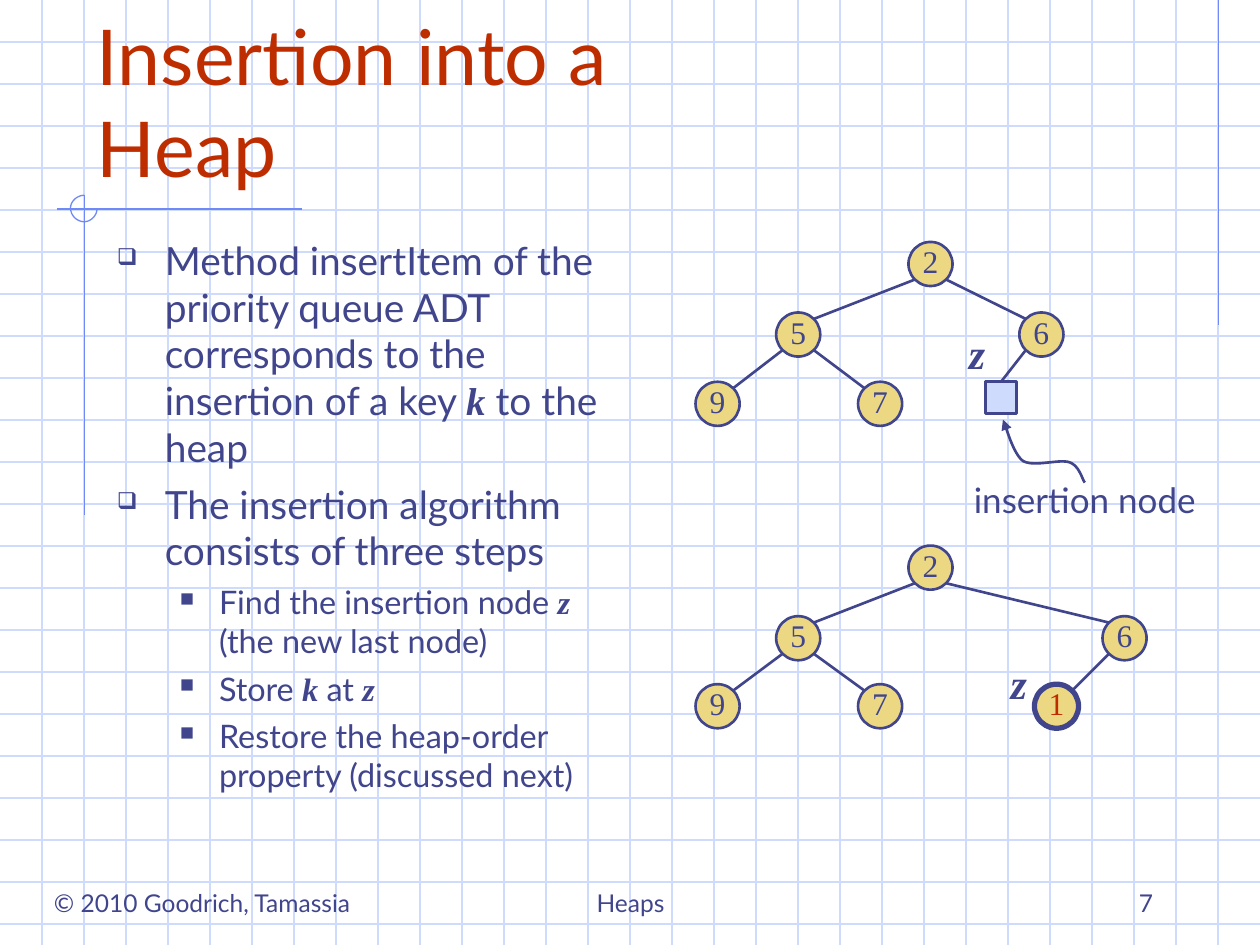
from dataclasses import dataclass
from typing import NamedTuple

from lxml import etree
from pptx import Presentation
from pptx.dml.color import RGBColor
from pptx.enum.shapes import MSO_CONNECTOR, MSO_SHAPE
from pptx.enum.text import MSO_ANCHOR, PP_ALIGN
from pptx.oxml.ns import qn
from pptx.util import Inches, Pt

LEFT, CENTER, RIGHT = PP_ALIGN.LEFT, PP_ALIGN.CENTER, PP_ALIGN.RIGHT
TOP, MIDDLE, BOTTOM = MSO_ANCHOR.TOP, MSO_ANCHOR.MIDDLE, MSO_ANCHOR.BOTTOM
STRAIGHT = MSO_CONNECTOR.STRAIGHT
OVAL, RECTANGLE = MSO_SHAPE.OVAL, MSO_SHAPE.RECTANGLE


@dataclass(frozen=True)
class Theme:
    ink: str = "40458C"
    accent: str = "BE2D00"
    grid: str = "CFDBFD"
    ornament: str = "6F89F7"
    node: str = "ECD882"
    sans: str = "Lato"
    serif: str = "Times New Roman"
    title: float = 44
    body: float = 22.2
    step: float = 18.5
    footer: float = 14
    key: float = 18
    caption: float = 20
    label: float = 24
    hairline: float = 0.75
    stroke: float = 1.5
    heavy: float = 3


class Point(NamedTuple):
    x: float
    y: float


class Box(NamedTuple):
    x: float
    y: float
    w: float
    h: float


class Run(NamedTuple):
    text: str
    variable: bool = False


class Level(NamedTuple):
    size: float
    margin: float
    indent: float
    before: float
    bullet: str


class Node(NamedTuple):
    key: str
    x: float
    y: float
    parent: int = -1
    side: int = 0


T = Theme()
NODE, SQUARE, GRID = 0.35, 0.25, 1 / 3
POINT = Level(T.body, 0.38, -0.38, 6, "❑")
STEP = Level(T.step, 0.81, -0.31, 5, "■")
BULLETS = [
    (POINT, [Run("Method insertItem of the priority queue ADT corresponds to the insertion of a key "),
             Run("k", True), Run(" to the heap")]),
    (POINT, [Run("The insertion algorithm consists of three steps")]),
    (STEP, [Run("Find the insertion node "), Run("z", True), Run(" (the new last node)")]),
    (STEP, [Run("Store "), Run("k", True), Run(" at "), Run("z", True)]),
    (STEP, [Run("Restore the heap-order property (discussed next)")]),
]
BEFORE = [Node("2", 7.21, 1.92), Node("5", 6.16, 2.48, 0, -1), Node("6", 8.09, 2.48, 0, 1),
          Node("9", 5.52, 3.03, 1, -1), Node("7", 6.81, 3.03, 1, 1), Node("", 7.82, 3.03, 2, -1)]
AFTER = [Node("2", 7.21, 4.33), Node("5", 6.16, 4.89, 0, -1), Node("6", 8.75, 4.89, 0, 1),
         Node("9", 5.52, 5.43, 1, -1), Node("7", 6.81, 5.43, 1, 1), Node("1", 8.21, 5.43, 2, -1)]
ARC = [Point(*p) for p in [(0.67, 1.55), (0.61, 1.55), (0.56, 1.6), (0.56, 1.65),
                           (0.56, 1.71), (0.61, 1.76), (0.67, 1.76),
                           (0.72, 1.76), (0.77, 1.71), (0.77, 1.66)]]
POINTER = [Point(*p) for p in [(8.61, 3.83), (8.59, 3.81), (8.57, 3.7), (8.49, 3.67),
                               (8.41, 3.64), (8.21, 3.71), (8.12, 3.66),
                               (8.04, 3.6), (7.99, 3.4), (7.96, 3.33)]]


def rgb(color: str) -> RGBColor:
    return RGBColor.from_string(color)


def stroke(line, color: str, width: float) -> None:
    line.color.rgb = rgb(color)
    line.width = Pt(width)


def add_line(s, start: Point, end: Point, color: str = T.ink, width: float = T.stroke) -> None:
    c = s.shapes.add_connector(STRAIGHT, *(Inches(v) for v in (*start, *end)))
    stroke(c.line, color, width)
    etree.SubElement(c._element.spPr, qn("a:effectLst"))


def add_curve(s, controls: list[Point], color: str, width: float, steps: int = 12):
    pts = []
    for i in range(0, len(controls) - 1, 3):
        a, b, c, d = controls[i:i + 4]
        for t in (k / steps for k in range(1, steps + 1)):
            u = 1 - t
            pts.append(tuple(Inches(u**3 * a[j] + 3 * u * u * t * b[j] + 3 * u * t * t * c[j] + t**3 * d[j])
                             for j in (0, 1)))
    fb = s.shapes.build_freeform(*(Inches(v) for v in controls[0]), scale=1.0)
    fb.add_line_segments(pts, close=False)
    sp = fb.convert_to_shape()
    sp.shadow.inherit = False
    sp.fill.background()
    stroke(sp.line, color, width)
    return sp


def add_run(p, run: Run, size: float, color: str = T.ink, font: str = T.sans) -> None:
    r = p.add_run()
    r.text = run.text
    formats = {"name": font, "size": Pt(size)}
    if run.variable:
        formats |= {"name": T.serif, "bold": True, "italic": True}
    for name, value in formats.items():
        setattr(r.font, name, value)
    r.font.color.rgb = rgb(color)


def add_text(s, box: Box, run: Run, size: float, color: str = T.ink,
             align=LEFT, anchor=TOP, wrap: bool = True) -> None:
    tf = s.shapes.add_textbox(*(Inches(v) for v in box)).text_frame
    for name, value in {"word_wrap": wrap, "vertical_anchor": anchor}.items():
        setattr(tf, name, value)
    p = tf.paragraphs[0]
    p.alignment = align
    add_run(p, run, size, color)


def add_bullets(s, box: Box) -> None:
    tf = s.shapes.add_textbox(*(Inches(v) for v in box)).text_frame
    tf.word_wrap = True
    for i, (level, runs) in enumerate(BULLETS):
        p = tf.add_paragraph() if i else tf.paragraphs[0]
        p.space_before = Pt(level.before)
        pPr = p._p.get_or_add_pPr()
        pPr.set("marL", str(Inches(level.margin)))
        pPr.set("indent", str(Inches(level.indent)))
        color = etree.SubElement(pPr, qn("a:buClr"))
        etree.SubElement(color, qn("a:srgbClr"), val=T.ink)
        etree.SubElement(pPr, qn("a:buSzPct"), val="60000")
        etree.SubElement(pPr, qn("a:buChar"), char=level.bullet)
        for run in runs:
            add_run(p, run, level.size)


def add_node(s, node: Node, inserted: bool) -> None:
    kind, size, fill = (OVAL, NODE, T.node) if node.key else (RECTANGLE, SQUARE, T.grid)
    sp = s.shapes.add_shape(kind, *(Inches(v) for v in (node.x, node.y, size, size)))
    sp.shadow.inherit = False
    sp.fill.solid()
    sp.fill.fore_color.rgb = rgb(fill)
    stroke(sp.line, T.ink, T.heavy if inserted else T.stroke)
    if node.key:
        tf = sp.text_frame
        for name, value in {"margin_left": 0, "margin_right": 0, "margin_top": 0, "margin_bottom": Inches(0.05),
                            "vertical_anchor": MIDDLE, "word_wrap": False}.items():
            setattr(tf, name, value)
        p = tf.paragraphs[0]
        p.alignment = CENTER
        add_run(p, Run(node.key), T.key, T.accent if inserted else T.ink, T.serif)


def add_tree(s, nodes: list[Node]) -> None:
    half, reach = NODE / 2, NODE / 8**0.5
    for node in nodes:
        if node.parent >= 0:
            up = nodes[node.parent]
            start = Point(up.x + half + node.side * reach, up.y + half + reach)
            end = (Point(node.x + half - node.side * reach, node.y + half - reach) if node.key
                   else Point(node.x + SQUARE / 2, node.y))
            add_line(s, start, end)
    for node in nodes:
        add_node(s, node, node.key == "1")


def add_background(s) -> None:
    for i in range(1, 23):
        add_line(s, Point(0, i * GRID), Point(10, i * GRID), T.grid, T.hairline)
    for i in range(1, 30):
        add_line(s, Point(i * GRID, 0), Point(i * GRID, 7.5), T.grid, T.hairline)
    for start, end in [((9.67, 0), (9.67, 2.58)), ((2.4, 1.66), (0.45, 1.66)), ((0.67, 1.55), (0.67, 4.09))]:
        add_line(s, Point(*start), Point(*end), T.ornament, T.hairline)
    add_curve(s, ARC, T.ornament, T.hairline)


def main() -> None:
    prs = Presentation()
    prs.slide_width, prs.slide_height = Inches(10), Inches(7.5)
    s = prs.slides.add_slide(prs.slide_layouts[6])
    add_background(s)
    add_text(s, Box(0.67, 0.33, 5.5, 1.25), Run("Insertion into a Heap"), T.title, T.accent, anchor=BOTTOM)
    add_bullets(s, Box(0.83, 1.83, 4.25, 5.08))
    add_tree(s, BEFORE)
    add_tree(s, AFTER)
    pointer = add_curve(s, POINTER, T.ink, T.stroke)
    etree.SubElement(pointer.line._get_or_add_ln(), qn("a:tailEnd"), type="triangle")
    add_text(s, Box(7.56, 3.75, 2.1, 0.44), Run("insertion node"), T.caption, align=CENTER, wrap=False)
    for x, y in [(7.59, 2.55), (7.92, 5.17)]:
        add_text(s, Box(x, y, 0.33, 0.5), Run("z", True), T.label, align=CENTER, wrap=False)
    for x, w, text, align in [(0.33, 2.92, "© 2010 Goodrich, Tamassia", LEFT),
                              (3.42, 3.17, "Heaps", CENTER), (7.17, 2.08, "7", RIGHT)]:
        add_text(s, Box(x, 6.83, w, 0.5), Run(text), T.footer, align=align, anchor=BOTTOM)
    prs.save("out.pptx")


if __name__ == "__main__":
    main()
